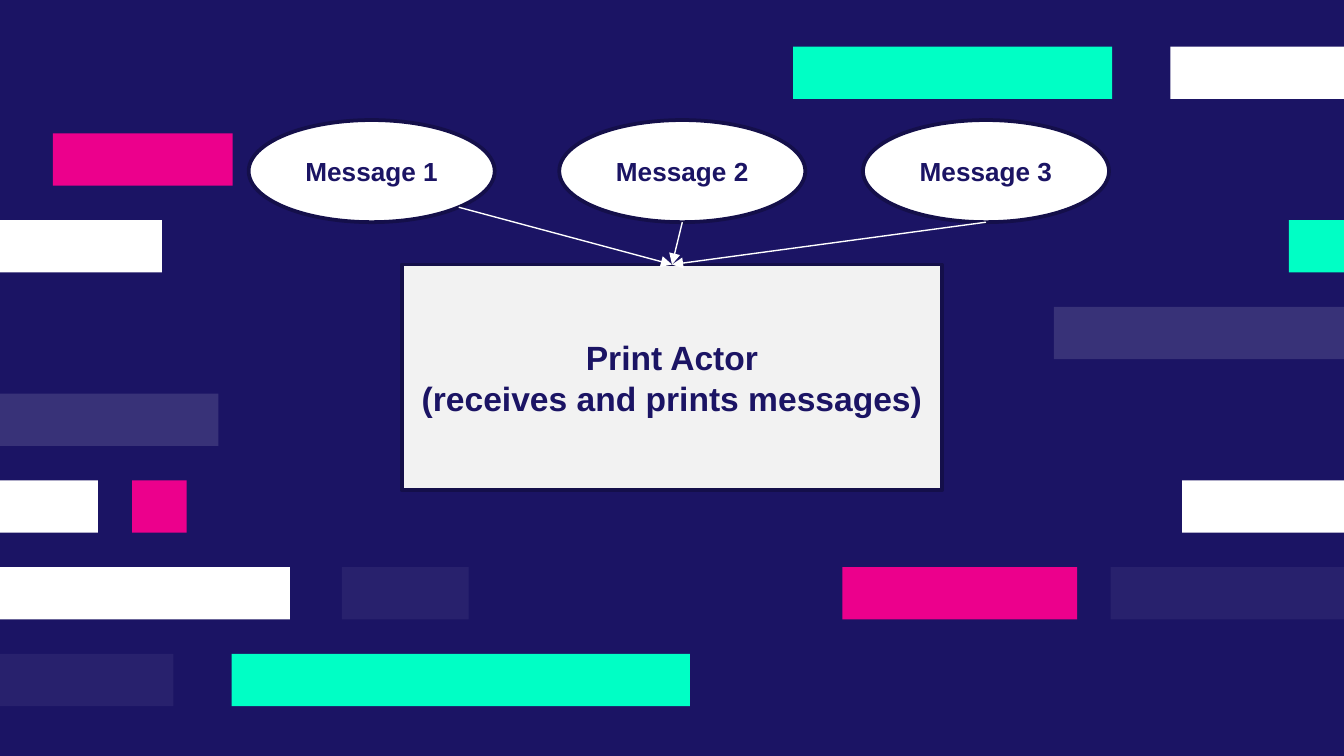
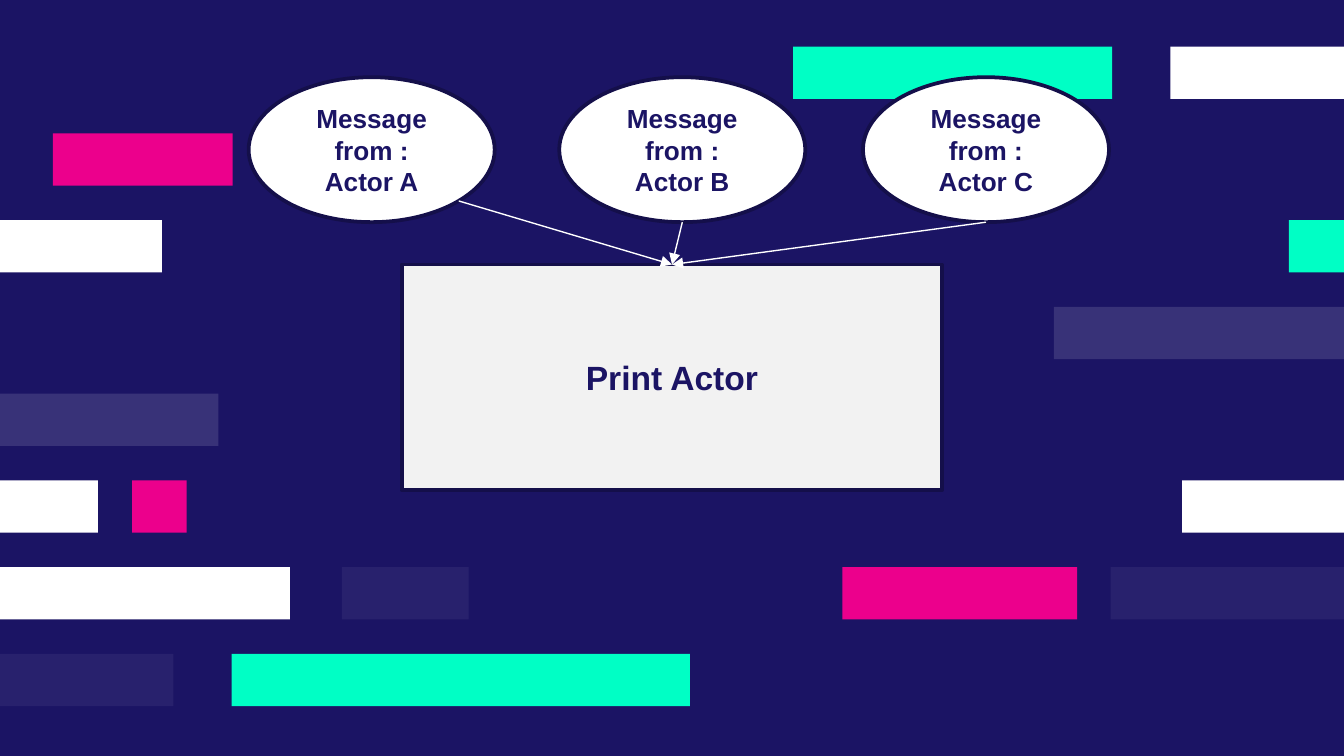
from dataclasses import dataclass
from math import sqrt

from lxml import etree
from pptx import Presentation
from pptx.dml.color import RGBColor
from pptx.enum.shapes import MSO_CONNECTOR as Connector, MSO_SHAPE as Preset
from pptx.enum.text import MSO_ANCHOR as Anchor, PP_ALIGN as Align
from pptx.oxml.ns import qn
from pptx.util import Cm, Pt

NAVY, EDGE, WHITE = "1B1464", "140F4A", "FFFFFF"
PINK, MINT, GRAY = "EC008C", "00FFC5", "F2F2F2"
FONT = "Arial"

# All lengths are centimetres.
SLIDE_WIDTH, SLIDE_HEIGHT = 25.4, 14.29
ROW_TOP, ROW_PITCH, BAR_HEIGHT = 0.88, 1.64, 0.99
BOX_TOP, BOX_WIDTH, BOX_HEIGHT = 5.0, 10.21, 4.27
OVAL_LEFTS, OVAL_WIDTH, OVAL_BOTTOM = (4.7, 10.57, 16.31), 4.65, 4.2


@dataclass
class Bar:
    """One decorative bar on a numbered row; opacity is a percentage."""
    row: int
    left: float
    width: float
    fill: str = WHITE
    opacity: int = 100


@dataclass
class Node:
    """A labelled, outlined shape."""
    preset: Preset
    left: float
    top: float
    width: float
    height: float
    lines: list[str]
    fill: str
    size: int


@dataclass
class Diagram:
    """The wording and oval height that vary between slides."""
    receiver: list[str]
    messages: list[str]
    oval_height: float


BARS = [
    Bar(0, 14.99, 6.03, MINT), Bar(0, 22.12, 3.28),
    Bar(1, 1.0, 3.4, PINK),
    Bar(2, 0, 3.06), Bar(2, 24.36, 1.04, MINT),
    Bar(3, 19.92, 5.48, opacity=13),
    Bar(4, 0, 4.13, opacity=13),
    Bar(5, 0, 1.85), Bar(5, 2.5, 1.03, PINK), Bar(5, 22.34, 3.06),
    Bar(6, 0, 5.48), Bar(6, 6.46, 2.4, opacity=6),
    Bar(6, 15.92, 4.44, PINK), Bar(6, 20.99, 4.41, opacity=6),
    Bar(7, 0, 3.28, opacity=6), Bar(7, 4.38, 8.66, MINT),
]

DIAGRAMS = [
    Diagram(["Print Actor", "(receives and prints messages)"],
            [f"Message {number}" for number in (1, 2, 3)], 1.93),
    Diagram(["Print Actor"],
            [f"Message from : Actor {letter}" for letter in "ABC"], 2.74),
]


def color(value: str) -> RGBColor:
    """Turn a hex string into a colour."""
    return RGBColor.from_string(value)


def add_filled(slide, preset, left: float, top: float, width: float,
               height: float, fill: str):
    """Add a shadowless shape with a solid fill."""
    shape = slide.shapes.add_shape(preset, Cm(left), Cm(top), Cm(width), Cm(height))
    shape.shadow.inherit = False
    shape.fill.solid()
    shape.fill.fore_color.rgb = color(fill)
    return shape


def add_bar(slide, bar: Bar) -> None:
    """Draw one background bar."""
    top = ROW_TOP + bar.row * ROW_PITCH
    shape = add_filled(slide, Preset.RECTANGLE, bar.left, top, bar.width,
                       BAR_HEIGHT, bar.fill)
    shape.line.fill.background()
    if bar.opacity < 100:
        tone = shape.fill._xPr.find(".//" + qn("a:srgbClr"))
        etree.SubElement(tone, qn("a:alpha"), val=str(bar.opacity * 1000))


def add_node(slide, node: Node) -> None:
    """Draw a shape with centred bold text."""
    shape = add_filled(slide, node.preset, node.left, node.top, node.width,
                       node.height, node.fill)
    shape.line.color.rgb = color(EDGE)
    shape.line.width = Pt(2)
    frame = shape.text_frame
    frame.word_wrap = True
    frame.vertical_anchor = Anchor.MIDDLE
    font_format = {"name": FONT, "size": Pt(node.size), "bold": True}
    for index, line in enumerate(node.lines):
        paragraph = frame.add_paragraph() if index else frame.paragraphs[0]
        paragraph.alignment = Align.CENTER
        run = paragraph.add_run()
        run.text = line
        for name, value in font_format.items():
            setattr(run.font, name, value)
        run.font.color.rgb = color(NAVY)


def add_arrow(slide, start: tuple[float, float], end: tuple[float, float]) -> None:
    """Draw a thin white arrow from start to end."""
    points = [Cm(value) for value in (*start, *end)]
    arrow = slide.shapes.add_connector(Connector.STRAIGHT, *points)
    arrow.line.color.rgb = color(WHITE)
    arrow.line.width = Pt(0.75)
    etree.SubElement(arrow.line._get_or_add_ln(), qn("a:tailEnd"), type="triangle")
    etree.SubElement(arrow._element.spPr, qn("a:effectLst"))


def oval_exit(index: int, left: float, height: float) -> tuple[float, float]:
    """Give the arrow start: lower right of the first oval, else the bottom."""
    center = left + OVAL_WIDTH / 2
    if index:
        return center, OVAL_BOTTOM
    diagonal = sqrt(0.5)
    return (center + OVAL_WIDTH / 2 * diagonal,
            OVAL_BOTTOM - height / 2 * (1 - diagonal))


def add_diagram_slide(presentation, diagram: Diagram) -> None:
    """Add a slide with the bars, the receiver, its messages and arrows."""
    slide = presentation.slides.add_slide(presentation.slide_layouts[6])
    slide.background.fill.solid()
    slide.background.fill.fore_color.rgb = color(NAVY)
    for bar in BARS:
        add_bar(slide, bar)
    add_node(slide, Node(Preset.RECTANGLE, (SLIDE_WIDTH - BOX_WIDTH) / 2, BOX_TOP,
                         BOX_WIDTH, BOX_HEIGHT, diagram.receiver, GRAY, 18))
    height = diagram.oval_height
    for left, message in zip(OVAL_LEFTS, diagram.messages):
        add_node(slide, Node(Preset.OVAL, left, OVAL_BOTTOM - height, OVAL_WIDTH,
                             height, [message], WHITE, 14))
    for index, left in enumerate(OVAL_LEFTS):
        add_arrow(slide, oval_exit(index, left, height), (SLIDE_WIDTH / 2, BOX_TOP))


def main() -> None:
    """Build and save the presentation."""
    presentation = Presentation()
    presentation.slide_width = Cm(SLIDE_WIDTH)
    presentation.slide_height = Cm(SLIDE_HEIGHT)
    for diagram in DIAGRAMS:
        add_diagram_slide(presentation, diagram)
    presentation.save("out.pptx")


main()
